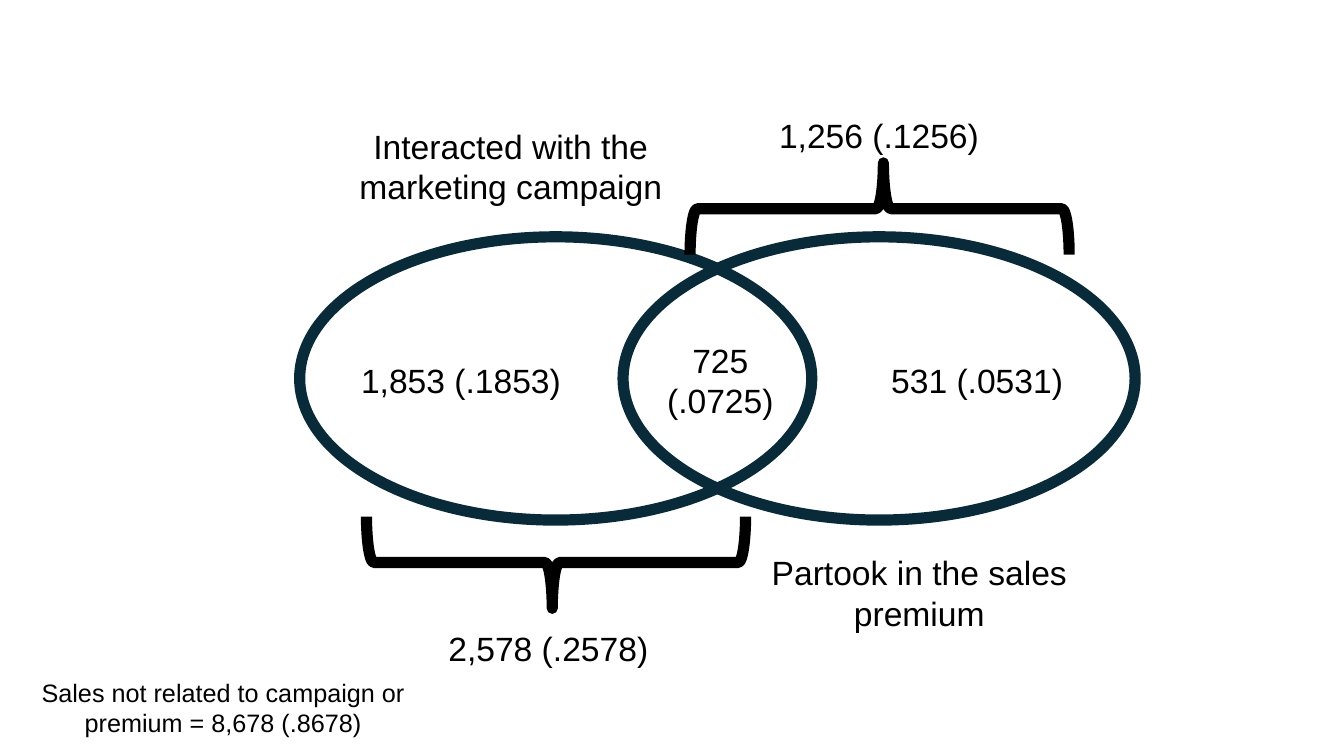
from pptx import Presentation
from pptx.util import Inches, Pt
from pptx.dml.color import RGBColor
from pptx.enum.shapes import MSO_SHAPE
from pptx.enum.text import PP_ALIGN, MSO_AUTO_SIZE

OVAL, BRACE = MSO_SHAPE.OVAL, MSO_SHAPE.RIGHT_BRACE
CENTER, GROW = PP_ALIGN.CENTER, MSO_AUTO_SIZE.SHAPE_TO_FIT_TEXT
NAVY = RGBColor(0x09, 0x2A, 0x39)
BLACK = RGBColor(0, 0, 0)
FONT = "Arial"
STROKE = Pt(8)
WIDTH, HEIGHT = 13.33, 7.5

# Content: paragraphs, centre x, top and width as shares of the slide, text size
LABELS = [
    (["Interacted with the marketing campaign"], 0.380, 0.160, 0.282, 24),
    (["Partook in the sales premium"], 0.684, 0.724, 0.282, 24),
    (["1,853 (.1853)"], 0.343, 0.470, 0.187, 24),
    (["531 (.0531)"], 0.727, 0.470, 0.145, 24),
    (["725", "(.0725)"], 0.536, 0.443, 0.145, 24),
    (["2,578 (.2578)"], 0.408, 0.824, 0.172, 24),
    (["1,256 (.1256)"], 0.654, 0.145, 0.179, 24),
    (["Sales not related to campaign or premium = 8,678 (.8678)"],
     0.166, 0.889, 0.352, 18),
]
# Ellipses: left shares; braces: centre shares and rotation
OVAL_LEFTS = [0.223, 0.4636]
OVAL_TOP, OVAL_W, OVAL_H = 0.3133, 0.381, 0.3747
BRACES = [(0.4137, 0.744, 90), (0.6545, 0.276, 270)]
BRACE_DEPTH, BRACE_SPAN = 0.91, 3.76

prs = Presentation()
prs.slide_width, prs.slide_height = Inches(WIDTH), Inches(HEIGHT)
s = prs.slides.add_slide(prs.slide_layouts[6])


def add_outline(kind, x, y, w, h, color):
    sp = s.shapes.add_shape(kind, Inches(x), Inches(y), Inches(w), Inches(h))
    sp.shadow.inherit = False
    sp.fill.background()
    sp.line.color.rgb = color
    sp.line.width = STROKE
    return sp


def add_label(lines, cx, top, width, size):
    height = 0.5 if len(lines[0]) < 20 and len(lines) == 1 else 0.91 * size / 24
    sp = s.shapes.add_textbox(Inches((cx - width / 2) * WIDTH), Inches(top * HEIGHT),
                              Inches(width * WIDTH), Inches(height))
    tf = sp.text_frame
    tf.word_wrap = True
    tf.auto_size = GROW
    tf.text = "\n".join(lines)
    for p in tf.paragraphs:
        p.alignment = CENTER
        p.font.name = FONT
        p.font.size = Pt(size)
        p.font.color.rgb = BLACK


# Overlapping ellipses
for left in OVAL_LEFTS:
    add_outline(OVAL, left * WIDTH, OVAL_TOP * HEIGHT,
                OVAL_W * WIDTH, OVAL_H * HEIGHT, NAVY)

# Braces over each group's total, turned about their centres
for cx, cy, angle in BRACES:
    brace = add_outline(BRACE, cx * WIDTH - BRACE_DEPTH / 2,
                        cy * HEIGHT - BRACE_SPAN / 2,
                        BRACE_DEPTH, BRACE_SPAN, BLACK)
    brace.rotation = angle
    brace.adjustments[0] = 0.08
    brace.adjustments[1] = 0.51

# Labels and counts
for label in LABELS:
    add_label(*label)

prs.save("out.pptx")
